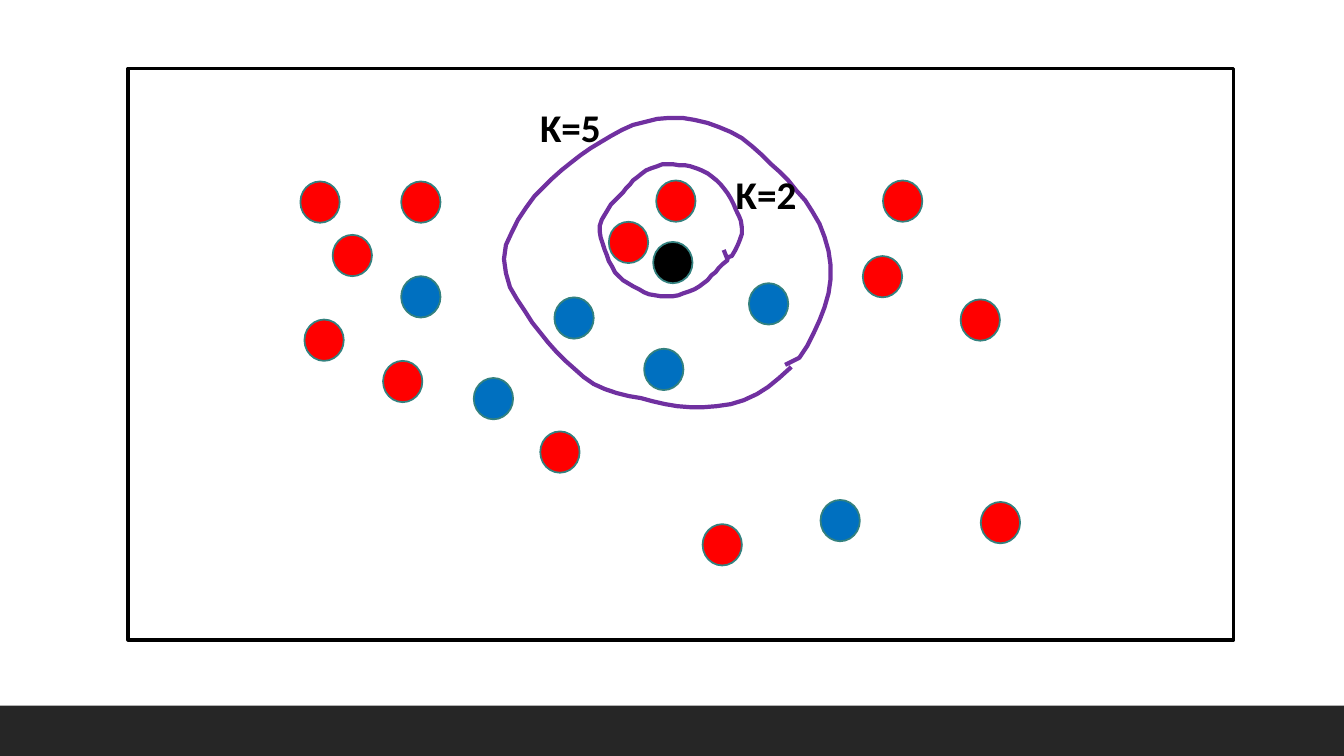
import math
import pptx
import pptx.dml.color
import pptx.enum.shapes
import pptx.enum.text
import pptx.util
from dataclasses import dataclass

# The slide is a grid of square cells, 100 to the inch
COLS, ROWS = 1333.33, 750
CELL = 9144
OVAL = pptx.enum.shapes.MSO_SHAPE.OVAL
RECT = pptx.enum.shapes.MSO_SHAPE.RECTANGLE


@dataclass(frozen=True)
class Theme:
    font: str = "Calibri"
    size: float = 28
    ink: str = "000000"
    band: str = "262626"
    red: str = "FF0000"
    blue: str = "0070C0"
    rim: str = "33817F"
    ring: str = "7030A0"
    frame_w: float = 2.25
    rim_w: float = 1.25
    ring_w: float = 3


@dataclass(frozen=True)
class Ring:
    """A loop round the nearest dots, drawn clockwise from its seam."""
    name: str
    spot: tuple    # left and top of the label
    mid: tuple     # centre of the loop
    seam: int      # angle in degrees, from east, where the pen sets down
    start: tuple   # first touch of the pen
    tip: tuple     # last touch of the pen
    reach: tuple   # radius at equal turns, from east


THEME = Theme()
DOT = 39, 41       # width and height of a dot
LABEL = 150, 57    # width and height of a label
STEP = 5           # degrees between two points of a ring

# Left and top of each data point, by class
DOTS = {
    THEME.red: [(298, 180), (330, 233), (398, 180), (302, 317), (380, 358),
                (876, 179), (856, 254), (697, 520), (953, 297), (536, 428),
                (973, 498), (651, 179), (604, 220)],
    THEME.blue: [(398, 274), (470, 375), (814, 496), (743, 281), (550, 295),
                 (639, 346)],
    THEME.ink: [(648, 240)],
}

RINGS = [
    Ring("K=2", spot=(720, 164), mid=(665, 228), seam=28,
         start=(718, 248), tip=(720, 256),
         reach=(71, 67, 61, 63, 65, 67, 67, 69, 68,
                70, 65, 60, 62, 65, 65, 67, 67, 68)),
    Ring("K=5", spot=(526, 98), mid=(662, 260), seam=41,
         start=(785, 364), tip=(779, 362),
         reach=(162, 162, 161, 157, 146, 138, 141, 141, 149,
                162, 151, 139, 136, 141, 144, 143, 142, 152)),
]


def cells(*counts):
    return [pptx.util.Emu(round(n * CELL)) for n in counts]


def tint(code):
    return pptx.dml.color.RGBColor.from_string(code)


def paint(shape, fill=None, line=None, width=0):
    shape.shadow.inherit = False
    if fill:
        shape.fill.solid()
        shape.fill.fore_color.rgb = tint(fill)
    else:
        shape.fill.background()
    if line:
        shape.line.color.rgb = tint(line)
        shape.line.width = pptx.util.Pt(width)
    else:
        shape.line.fill.background()


def block(slide, kind, place, **style):
    paint(slide.shapes.add_shape(kind, *cells(*place)), **style)


def blend(reach, angle):
    """Radius at any angle: a smooth cubic through the given radii."""
    count = len(reach)
    turn = angle * count / 360
    slot = math.floor(turn)
    t = turn - slot
    a, b, c, d = (reach[(slot + k) % count] for k in (-1, 0, 1, 2))
    return b + t / 2 * (c - a + t * (2 * a - 5 * b + 4 * c - d
                                     + t * (3 * (b - c) + d - a)))


def orbit(ring, angle):
    """Point of the ring at an angle."""
    far = blend(ring.reach, angle)
    theta = math.radians(angle)
    x, y = ring.mid
    return round(x + far * math.cos(theta)), round(y + far * math.sin(theta))


def loop(slide, ring):
    sweep = range(ring.seam, ring.seam + 360, STEP)
    points = [orbit(ring, angle) for angle in sweep] + [ring.tip]
    pen = slide.shapes.build_freeform(*ring.start, scale=CELL)
    pen.add_line_segments(points, close=False)
    paint(pen.convert_to_shape(), line=THEME.ring, width=THEME.ring_w)


def label(slide, text, place):
    frame = slide.shapes.add_textbox(*cells(*place)).text_frame
    frame.word_wrap = True
    frame.auto_size = pptx.enum.text.MSO_AUTO_SIZE.SHAPE_TO_FIT_TEXT
    run = frame.paragraphs[0].add_run()
    run.text = text
    run.font.name = THEME.font
    run.font.size = pptx.util.Pt(THEME.size)
    run.font.bold = True
    run.font.color.rgb = tint(THEME.ink)


def main():
    deck = pptx.Presentation()
    deck.slide_width, deck.slide_height = cells(COLS, ROWS)
    slide = deck.slides.add_slide(deck.slide_layouts[6])

    # Bottom band and plot frame
    block(slide, RECT, (0, 700, COLS, 50), fill=THEME.band)
    block(slide, RECT, (127, 68, 1097, 567),
          line=THEME.ink, width=THEME.frame_w)

    # Data points
    for fill, spots in DOTS.items():
        for spot in spots:
            block(slide, OVAL, spot + DOT,
                  fill=fill, line=THEME.rim, width=THEME.rim_w)

    # Neighbour rings, then their labels on top
    for ring in RINGS:
        loop(slide, ring)
    for ring in RINGS:
        label(slide, ring.name, ring.spot + LABEL)

    deck.save("out.pptx")


if __name__ == "__main__":
    main()
